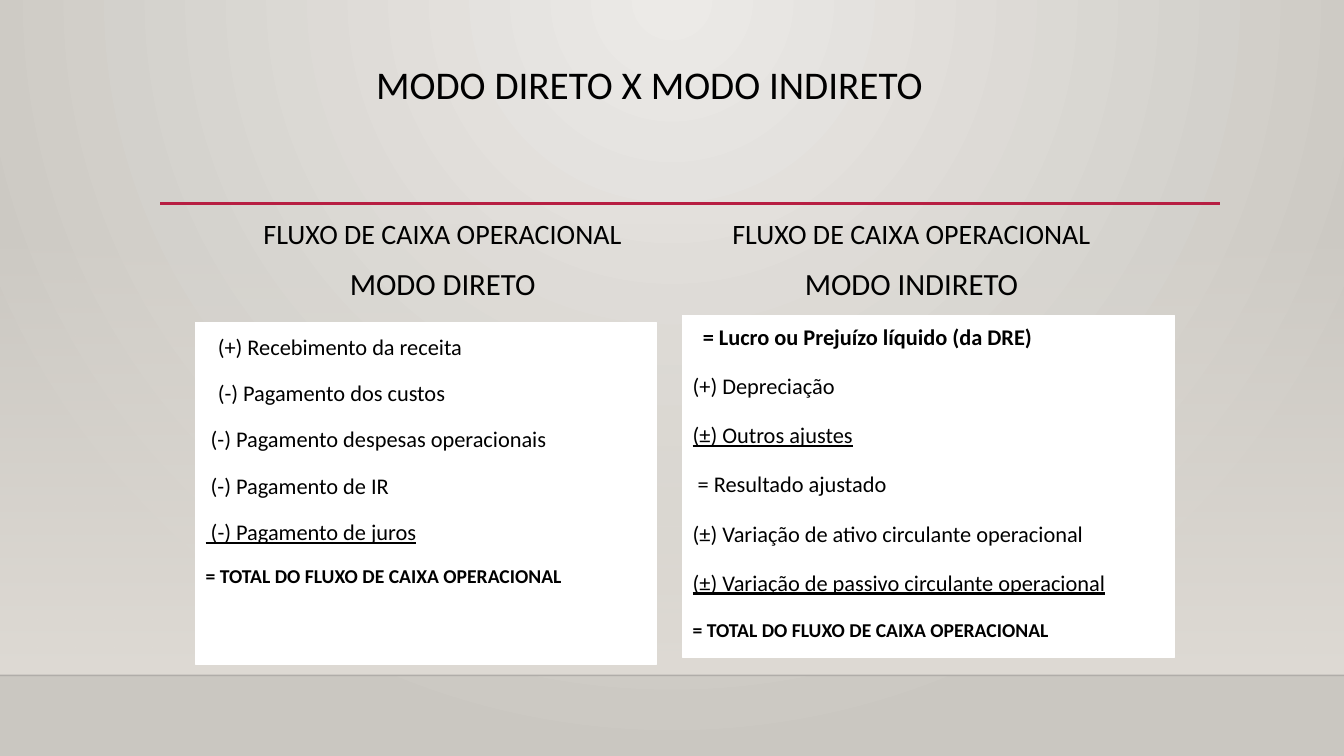
import dataclasses
import typing

import pptx
import pptx.dml.color
import pptx.enum.shapes
import pptx.enum.text
import pptx.oxml
import pptx.oxml.ns
import pptx.util

Inches = pptx.util.Inches
Align = pptx.enum.text.PP_ALIGN
Anchor = pptx.enum.text.MSO_ANCHOR
qn = pptx.oxml.ns.qn

FONT = "Calibri"
COLORS = {
    "text": "000000",
    "panel": "FFFFFF",
    "rule": "B71E42",
    "edge": "000001",
    "band": "DFDBD5",
    "light": "ECEAE7",
    "dark": "CAC7C1",
}
TOTAL = "= TOTAL DO FLUXO DE CAIXA OPERACIONAL"


@dataclasses.dataclass
class Row:
    text: str
    indent: float = 0
    size: float = 16
    bold: bool = False
    under: bool = False


@dataclasses.dataclass
class Panel:
    mode: str
    head: tuple[float, float, float, float]
    box: tuple[float, float, float, float]
    lines: float
    before: float
    rows: list[Row]


PANELS = [
    Panel("MODO DIRETO", (2.18, 1.86, 4.42, 1.18), (1.94, 3.2, 4.57, 3.39), 1.2, 10, [
        Row("(+) Recebimento da receita", 0.12),
        Row("(-) Pagamento dos custos", 0.12),
        Row("(-) Pagamento despesas operacionais", 0.05),
        Row("(-) Pagamento de IR", 0.05),
        Row(" (-) Pagamento de juros", under=True),
        Row(TOTAL, size=14, bold=True),
    ]),
    Panel("MODO INDIRETO", (6.75, 1.86, 4.58, 1.18), (6.77, 3.13, 4.88, 3.39), 1.1, 14, [
        Row("= Lucro ou Prejuízo líquido (da DRE)", 0.1, bold=True),
        Row("(+) Depreciação"),
        Row("(±) Outros ajustes", under=True),
        Row("= Resultado ajustado", 0.05),
        Row("(±) Variação de ativo circulante operacional"),
        Row("(±) Variação de passivo circulante operacional", under=True),
        Row(TOTAL, size=14, bold=True),
    ]),
]


def paint(name: str) -> pptx.dml.color.RGBColor:
    return pptx.dml.color.RGBColor.from_string(COLORS[name])


def blend(root: typing.Any, stops: list[tuple[int, str, int]], shade: str) -> None:
    """Swap the first solid fill under root for a gradient of (place, colour, alpha) stops."""
    parts = "".join(
        f'<a:gs pos="{place * 1000}"><a:srgbClr val="{COLORS[name]}">'
        f'<a:alpha val="{alpha * 1000}"/></a:srgbClr></a:gs>'
        for place, name, alpha in stops
    )
    solid = root.find(".//" + qn("a:solidFill"))
    solid.getparent().replace(solid, pptx.oxml.parse_xml(
        f'<a:gradFill {pptx.oxml.ns.nsdecls("a")} rotWithShape="1">'
        f"<a:gsLst>{parts}</a:gsLst>{shade}</a:gradFill>"
    ))


def add_rule(slide: typing.Any, left: float, right: float, top: float,
             name: str, width: float, alpha: int = 100) -> None:
    rule = slide.shapes.add_connector(
        pptx.enum.shapes.MSO_CONNECTOR.STRAIGHT,
        Inches(left), Inches(top), Inches(right), Inches(top),
    )
    rule.line.color.rgb = paint(name)
    rule.line.width = pptx.util.Pt(width)
    props = rule.element.spPr
    if alpha < 100:
        tint = props.find(".//" + qn("a:srgbClr"))
        tint.append(tint.makeelement(qn("a:alpha"), {"val": str(alpha * 1000)}))
    props.append(props.makeelement(qn("a:effectLst"), {}))


def write(holder: typing.Any, rows: list[Row], *, box: tuple[float, float, float, float],
          align: Align = Align.LEFT, anchor: Anchor = Anchor.TOP,
          lines: float = 1.0, before: float = 0) -> None:
    """Place a placeholder in front of the backdrop and fill it with rows."""
    holder.left, holder.top, holder.width, holder.height = map(Inches, box)
    holder.element.getparent().append(holder.element)
    frame = holder.text_frame
    frame.word_wrap = True
    frame.auto_size = pptx.enum.text.MSO_AUTO_SIZE.NONE
    frame.vertical_anchor = anchor
    for place, row in enumerate(rows):
        para = frame.add_paragraph() if place else frame.paragraphs[0]
        props = para._p.get_or_add_pPr()
        props.set("marL", str(Inches(row.indent)))
        props.set("indent", "0")
        props.append(props.makeelement(qn("a:buNone"), {}))
        para.alignment = align
        para.line_spacing = lines
        para.space_before = pptx.util.Pt(before if place else 0)
        run = para.add_run()
        run.text = row.text
        font = run.font
        font.name = FONT
        font.size = pptx.util.Pt(row.size)
        font.bold = row.bold
        font.underline = row.under
        font.color.rgb = paint("text")


def add_back(slide: typing.Any) -> None:
    slide.background.fill.solid()
    blend(slide.element, [(0, "light", 100), (100, "dark", 100)],
          '<a:path path="circle"><a:fillToRect l="43000" t="0" r="43000" b="100000"/></a:path>')
    band = slide.shapes.add_shape(
        pptx.enum.shapes.MSO_SHAPE.RECTANGLE, 0, Inches(2.21), Inches(13.33), Inches(4.49)
    )
    band.shadow.inherit = False
    band.line.fill.background()
    band.fill.solid()
    blend(band.element.spPr, [(0, "band", 0), (100, "band", 100)],
          '<a:lin ang="5400000" scaled="0"/>')
    add_rule(slide, 0, 13.33, 6.7, "edge", 1, alpha=20)
    add_rule(slide, 1.59, 12.1, 2.02, "rule", 2.5)


def add_panel(head: typing.Any, body: typing.Any, panel: Panel) -> None:
    write(head, [Row("FLUXO DE CAIXA OPERACIONAL", size=20), Row(panel.mode, size=22)],
          box=panel.head, align=Align.CENTER, anchor=Anchor.BOTTOM, before=10)
    write(body, panel.rows, box=panel.box, lines=panel.lines, before=panel.before)
    body.fill.solid()
    body.fill.fore_color.rgb = paint("panel")
    body.line.color.rgb = paint("panel")
    body.line.width = pptx.util.Pt(0.75)


def main() -> None:
    deck = pptx.Presentation()
    deck.slide_width, deck.slide_height = Inches(13.33), Inches(7.5)
    slide = deck.slides.add_slide(deck.slide_layouts.get_by_name("Comparison"))
    title, *slots = list(slide.placeholders)
    add_back(slide)
    write(title, [Row("MODO DIRETO X MODO INDIRETO", size=28)],
          box=(1.94, 0.6, 9, 0.69), align=Align.CENTER, lines=0.9)
    for head, body, panel in zip(slots[::2], slots[1::2], PANELS):
        add_panel(head, body, panel)
    deck.save("out.pptx")


if __name__ == "__main__":
    main()
